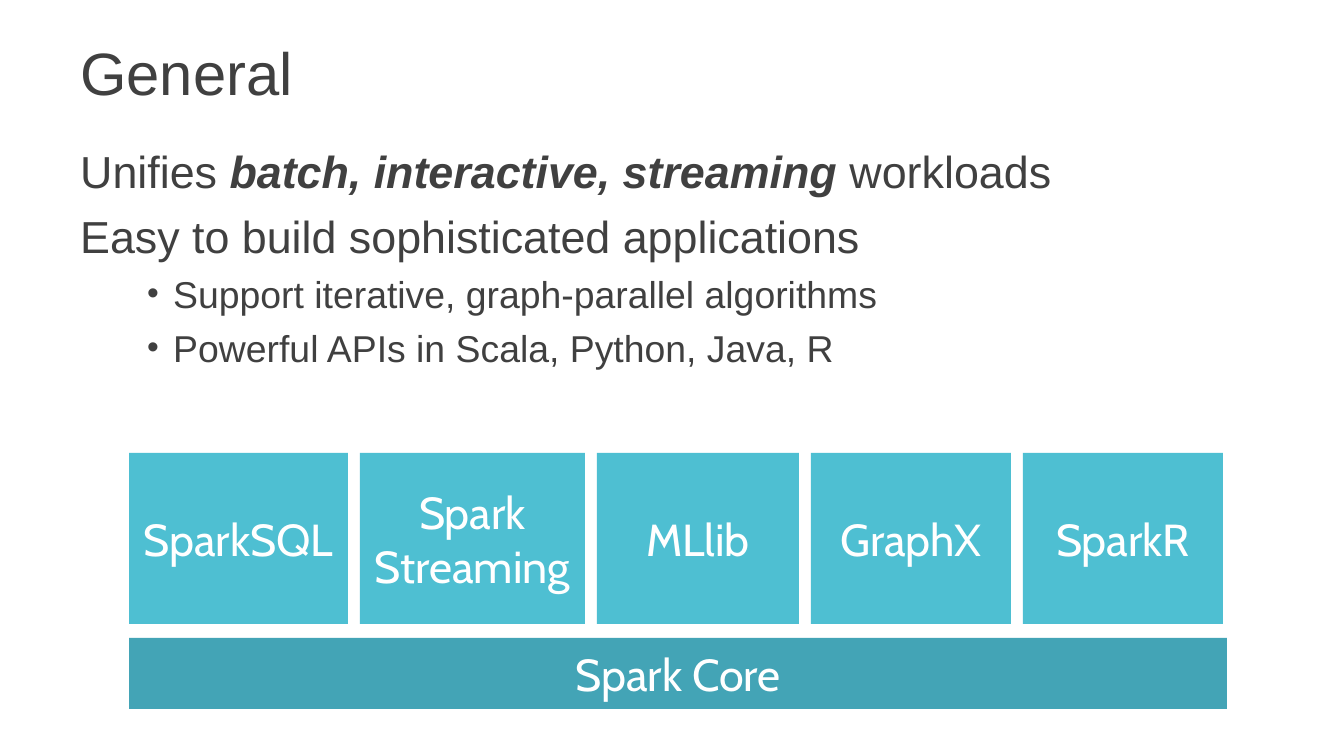
import pptx
import pptx.dml.color
import pptx.enum.shapes
import pptx.enum.text
import pptx.oxml.ns
import pptx.util
from lxml import etree

PX = 914400 / 134.4
COLORS = {"text": "404040", "tile": "4EBFD2", "core": "43A4B6", "label": "FFFFFF"}


def px(n):
    return pptx.util.Emu(round(n * PX))


def add_run(p, text, size, font, color, emphasis=False):
    r = p.add_run()
    r.text = text
    r.font.size = pptx.util.Pt(size)
    r.font.name = font
    r.font.bold = r.font.italic = emphasis
    r.font.color.rgb = pptx.dml.color.RGBColor.from_string(COLORS[color])


prs = pptx.Presentation()
prs.slide_width, prs.slide_height = px(1344), px(756)
s = prs.slides.add_slide(prs.slide_layouts[6])

# Title
tf = s.shapes.add_textbox(px(67), px(9), px(1210), px(126)).text_frame
tf.word_wrap = True
tf.vertical_anchor = pptx.enum.text.MSO_ANCHOR.MIDDLE
add_run(tf.paragraphs[0], "General", 32, "Arial", "text")

# Body: size, space before, bulleted, runs as (text, emphasis)
body = [
    (24, 0, False, [("Unifies ", False),
                    ("batch, interactive, streaming ", True),
                    ("workloads", False)]),
    (24, 5.6, False, [("Easy to build sophisticated applications", False)]),
    (20, 4.8, True, [("Support iterative, graph-parallel algorithms", False)]),
    (20, 4.8, True, [("Powerful APIs in Scala, Python, Java, R", False)]),
]
tf = s.shapes.add_textbox(px(67), px(132), px(1164), px(227)).text_frame
tf.word_wrap = True
tf.margin_top = px(12)
for i, (size, space, bulleted, runs) in enumerate(body):
    p = tf.paragraphs[0] if i == 0 else tf.add_paragraph()
    p.space_before = pptx.util.Pt(space)
    if bulleted:
        p.level = 1
        pPr = p._p.get_or_add_pPr()
        pPr.set("marL", str(px(93)))
        pPr.set("indent", str(px(-26)))
        etree.SubElement(pPr, pptx.oxml.ns.qn("a:buSzPct"), val="90000")
        etree.SubElement(pPr, pptx.oxml.ns.qn("a:buFont"), typeface="Arial")
        etree.SubElement(pPr, pptx.oxml.ns.qn("a:buChar"), char="•")
    for text, emphasis in runs:
        add_run(p, text, size, "Arial", "text", emphasis)

# Stack: library tiles in a row above the core bar
LEFT, GAP = 129, 12
blocks = [("Spark Core", LEFT, 638, 1098, 71, "core")]
x = LEFT
for name, width in [("SparkSQL", 219), ("Spark Streaming", 225), ("MLlib", 202),
                    ("GraphX", 200), ("SparkR", 200)]:
    blocks.append((name, x, 453, width, 171, "tile"))
    x += width + GAP

for name, left, top, width, height, color in blocks:
    sp = s.shapes.add_shape(pptx.enum.shapes.MSO_SHAPE.RECTANGLE,
                            px(left), px(top), px(width), px(height))
    sp.shadow.inherit = False
    sp.fill.solid()
    sp.fill.fore_color.rgb = pptx.dml.color.RGBColor.from_string(COLORS[color])
    sp.line.fill.background()
    tf = sp.text_frame
    tf.word_wrap = True
    tf.margin_left = tf.margin_right = 0
    tf.vertical_anchor = pptx.enum.text.MSO_ANCHOR.MIDDLE
    p = tf.paragraphs[0]
    p.alignment = pptx.enum.text.PP_ALIGN.CENTER
    add_run(p, name, 24, "Cabin", "label")

prs.save("out.pptx")
